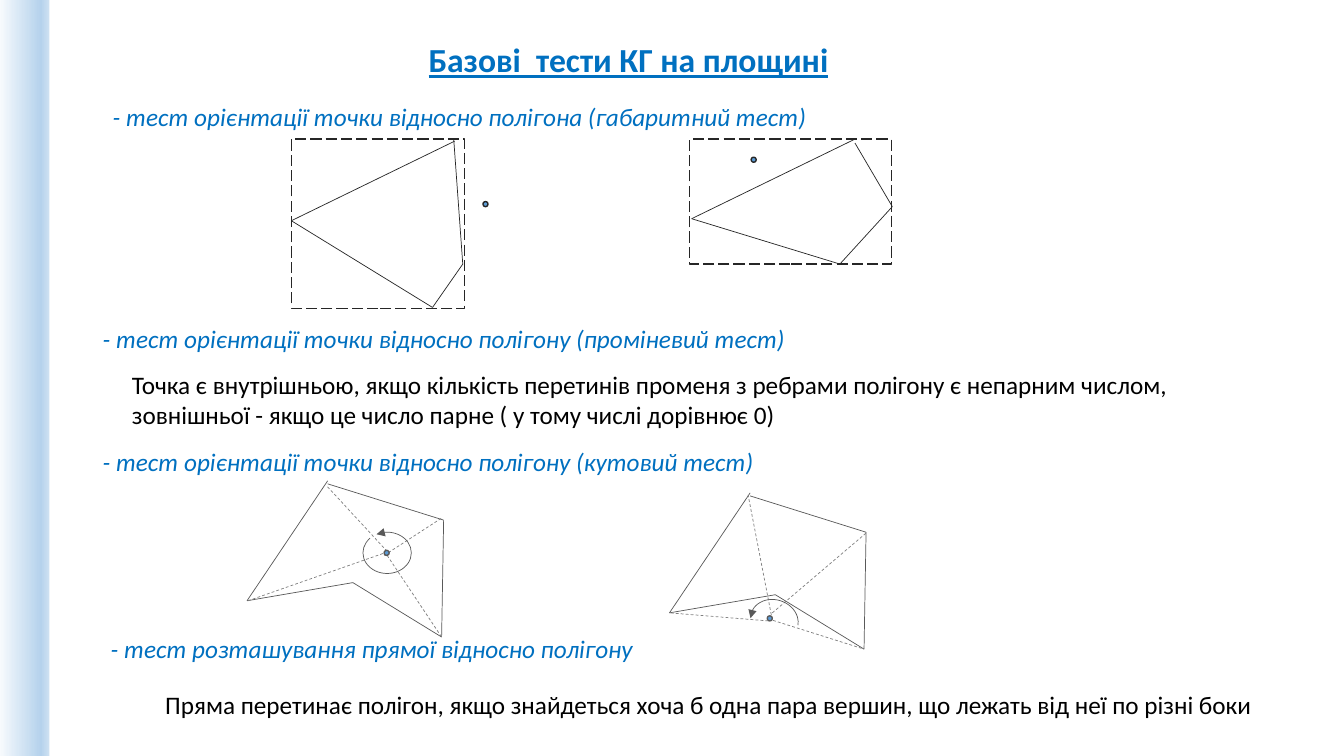
from copy import deepcopy
from itertools import pairwise

from lxml import etree
from pptx import Presentation
from pptx.dml.color import RGBColor
from pptx.enum.dml import MSO_LINE
from pptx.enum.shapes import MSO_CONNECTOR, MSO_SHAPE
from pptx.enum.text import MSO_ANCHOR, MSO_AUTO_SIZE, PP_ALIGN
from pptx.oxml.ns import qn
from pptx.util import Pt

PX = 9144  # EMU per px, 100 px to the inch
RECT, OVAL, ARC = MSO_SHAPE.RECTANGLE, MSO_SHAPE.OVAL, MSO_SHAPE.ARC
STRAIGHT = MSO_CONNECTOR.STRAIGHT
DASH, LONG_DASH = MSO_LINE.DASH, MSO_LINE.LONG_DASH
TITLE_ONLY = 5

THEME = {
    "font": "Calibri", "title_size": 24, "body_size": 18,
    "accent": "0070C0", "body": "000000", "point": "5B9BD5",
    "box_line": "262626", "angle_line": "595959", "ray": "808080",
    "band": [(0, "F7FAFD"), (0.83, "B5D2EC"), (1, "CEE1F2")],
}


def write_text(shape, text, box, size=THEME["body_size"], color=THEME["body"],
               bold=False, italic=False, underline=False):
    """Place a text shape at box and fill it with one formatted paragraph."""
    shape.left, shape.top, shape.width, shape.height = (v * PX for v in box)
    frame = shape.text_frame
    frame.word_wrap = True
    frame.auto_size = MSO_AUTO_SIZE.NONE
    frame.vertical_anchor = MSO_ANCHOR.TOP
    paragraph = frame.paragraphs[0]
    paragraph.alignment = PP_ALIGN.LEFT
    run = paragraph.add_run()
    run.text = text
    font = run.font
    font.name, font.size = THEME["font"], Pt(size)
    font.bold, font.italic, font.underline = bold, italic, underline
    font.color.rgb = RGBColor.from_string(color)


def draw_chain(points, color, dash=None):
    """Join consecutive points with thin straight lines."""
    for start, end in pairwise(points):
        edge = slide.shapes.add_connector(STRAIGHT, *(v * PX for v in start + end))
        edge.line.color.rgb = RGBColor.from_string(color)
        edge.line.width = Pt(0.5)
        if dash:
            edge.line.dash_style = dash
        etree.SubElement(edge._element.spPr, qn("a:effectLst"))


prs = Presentation()
prs.slide_width, prs.slide_height = 1333 * PX, 750 * PX
slide = prs.slides.add_slide(prs.slide_layouts[TITLE_ONLY])

write_text(slide.shapes.title, "Базові  тести КГ на площині", (415, 34, 691, 50),
           size=THEME["title_size"], color=THEME["accent"], bold=True, underline=True)

# Side band
band = slide.shapes.add_shape(RECT, 0, 0, 49 * PX, 750 * PX)
band.shadow.inherit = False
band.line.fill.background()
band.fill.gradient()
band.fill.gradient_angle = 0
stop_list = band._element.spPr.find(".//" + qn("a:gsLst"))
stop_list.append(deepcopy(stop_list[0]))
for stop, (position, color) in zip(band.fill.gradient_stops, THEME["band"]):
    stop.position = position
    stop.color.rgb = RGBColor.from_string(color)

# Test headings and explanations
headings = [
    ("- тест орієнтації точки відносно полігона (габаритний тест)", (102, 96, 730, 40)),
    ("- тест орієнтації точки відносно полігону (проміневий тест)", (92, 316, 705, 40)),
    ("- тест орієнтації точки відносно полігону (кутовий тест)", (92, 438, 680, 40)),
    ("- тест розташування прямої відносно полігону", (100, 623, 550, 40)),
]
for text, box in headings:
    write_text(slide.shapes.add_textbox(0, 0, 0, 0), text, box,
               color=THEME["accent"], italic=True)

explanations = [
    ("Точка є внутрішньою, якщо кількість перетинів променя з ребрами полігону "
     "є непарним числом, зовнішньої - якщо це число парне "
     "( у тому числі дорівнює 0)", (121, 361, 1084, 71)),
    ("Пряма перетинає полігон, якщо знайдеться хоча б одна пара вершин, "
     "що лежать від неї по різні боки", (154, 679, 1118, 40)),
]
for text, box in explanations:
    write_text(slide.shapes.add_textbox(0, 0, 0, 0), text, box)

# Polygons of the bounding-box test
bounded_polygons = [
    [(289, 219), (451, 140)],
    [(450, 138), (459, 262), (429, 305), (289, 219)],
    [(686, 217), (848, 138)],
    [(848, 142), (885, 205), (833, 262), (686, 217)],
]
for chain in bounded_polygons:
    draw_chain(chain, THEME["box_line"])

# The same polygon twice for the angle test
angle_polygon = [
    [(245, 596), (325, 477)],
    [(325, 480), (440, 516), (438, 632), (350, 578), (245, 596)],
]
for dx, dy in [(0, 0), (419, 12)]:
    for chain in angle_polygon:
        draw_chain([(x + dx, y + dy) for x, y in chain], THEME["angle_line"])

# Rays from the tested points to the vertices
rays = [
    [(246, 596), (386, 547)], [(384, 547), (324, 482)],
    [(381, 551), (438, 514)], [(384, 551), (438, 632)],
    [(762, 616), (664, 608)], [(766, 608), (860, 528)],
    [(762, 614), (857, 644)], [(765, 610), (742, 491)],
]
for ray in rays:
    draw_chain(ray, THEME["ray"], DASH)

# Bounding boxes
for box in [(289, 138, 172, 168), (684, 138, 200, 124)]:
    bounds = slide.shapes.add_shape(RECT, *(v * PX for v in box))
    bounds.shadow.inherit = False
    bounds.fill.background()
    bounds.line.color.rgb = RGBColor.from_string(THEME["box_line"])
    bounds.line.width = Pt(1)
    bounds.line.dash_style = LONG_DASH

# Tested points
tested_points = [
    (479, 200, "box_line"), (745, 156, "box_line"),
    (381, 546, "angle_line"), (761, 611, "angle_line"),
]
for x, y, outline in tested_points:
    point = slide.shapes.add_shape(OVAL, x * PX, y * PX, 5 * PX, 5 * PX)
    point.shadow.inherit = False
    point.fill.solid()
    point.fill.fore_color.rgb = RGBColor.from_string(THEME["point"])
    point.line.color.rgb = RGBColor.from_string(THEME[outline])
    point.line.width = Pt(1)

# Turning arrows: left, top, rotation, start and end adjustments
for x, y, rotation, start, end in [(360, 528, 0, 144.11, 132.49),
                                   (744, 595, 198.1, 208.33, 104)]:
    turn = slide.shapes.add_shape(ARC, x * PX, y * PX, 48 * PX, 41 * PX)
    turn.shadow.inherit = False
    turn.rotation = rotation
    turn.adjustments[0], turn.adjustments[1] = start, end
    turn.fill.background()
    turn.line.color.rgb = RGBColor.from_string(THEME["angle_line"])
    turn.line.width = Pt(0.5)
    etree.SubElement(turn.line._get_or_add_ln(), qn("a:headEnd"), type="triangle")

prs.save("out.pptx")
